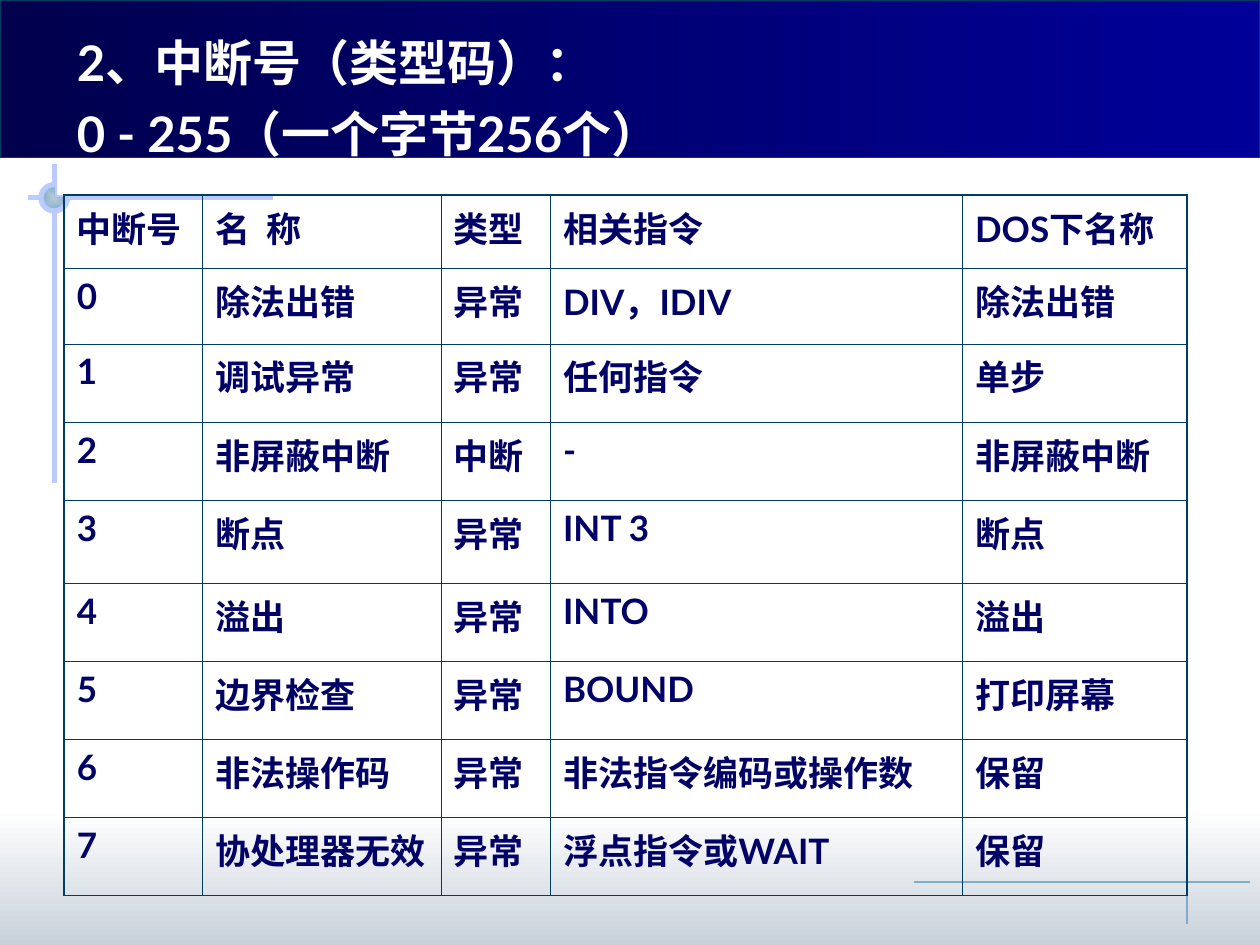
"""Build a slide that lists interrupt numbers in a ruled table."""
from lxml import etree
from pptx import Presentation
from pptx import util as u
from pptx.dml.color import RGBColor
from pptx.enum import shapes, text
from pptx.oxml import ns

COLS, ROWS = 100, 75
UNIT = u.Inches(0.1)
FONT = "Lato"
WHITE = RGBColor(0xFF, 0xFF, 0xFF)
MIST = RGBColor(0xC8, 0xD1, 0xDA)
MIDNIGHT = RGBColor(0x00, 0x00, 0x4C)
ROYAL = RGBColor(0x00, 0x00, 0x99)
NAVY = RGBColor(0x00, 0x00, 0x66)
TEAL = RGBColor(0x00, 0x3D, 0x62)
STEEL = RGBColor(0x81, 0xAB, 0xCB)
PALE = RGBColor(0xB6, 0xCB, 0xD6)
LAVENDER = RGBColor(0xBB, 0xCB, 0xFD)

TITLE = ["2、中断号（类型码）：", "0 - 255（一个字节256个）"]
COL_WIDTHS = [11, 18.9, 8.7, 32.7, 17.8]
ROW_HEIGHTS = [5.8, 6, 6.2, 6.2, 6.6, 6.2, 6.2, 6.2, 6.2]
INTERRUPTS = [
    ["中断号", "名  称", "类型", "相关指令", "DOS下名称"],
    ["0", "除法出错", "异常", "DIV，IDIV", "除法出错"],
    ["1", "调试异常", "异常", "任何指令", "单步"],
    ["2", "非屏蔽中断", "中断", "-", "非屏蔽中断"],
    ["3", "断点", "异常", "INT 3", "断点"],
    ["4", "溢出", "异常", "INTO", "溢出"],
    ["5", "边界检查", "异常", "BOUND", "打印屏幕"],
    ["6", "非法操作码", "异常", "非法指令编码或操作数", "保留"],
    ["7", "协处理器无效", "异常", "浮点指令或WAIT", "保留"],
]


def grid(*lengths):
    """Turn grid lengths into slide lengths."""
    return [u.Emu(round(n * UNIT)) for n in lengths]


def style_font(p, size, color):
    """Set the bold face of a paragraph."""
    p.font.name, p.font.size, p.font.bold = FONT, u.Pt(size), True
    p.font.color.rgb = color


def add_gradient_shape(s, kind, box, colors, angle=0, line=None):
    """Add a preset shape with a two-colour gradient and an optional outline."""
    sp = s.shapes.add_shape(kind, *grid(*box))
    sp.shadow.inherit = False
    sp.fill.gradient()
    sp.fill.gradient_angle = angle
    for stop, color, position in zip(sp.fill.gradient_stops, colors, (0, 1)):
        stop.color.rgb, stop.position = color, position
    if line:
        sp.line.color.rgb, sp.line.width = line[0], u.Pt(line[1])
    else:
        sp.line.fill.background()
    return sp


def add_rule(s, start, end, color, width):
    """Add a straight rule between two grid points."""
    cn = s.shapes.add_connector(shapes.MSO_CONNECTOR.STRAIGHT, *grid(*start, *end))
    cn.line.color.rgb, cn.line.width = color, u.Pt(width)
    etree.SubElement(cn.element.spPr, ns.qn("a:effectLst"))


def add_node(s, box):
    """Add the three-quarter disc with a gradient that spreads from its centre."""
    sp = add_gradient_shape(s, shapes.MSO_SHAPE.ARC, box, (PALE, STEEL), line=(LAVENDER, 3))
    sp.adjustments[0], sp.adjustments[1] = 0, 162
    lin = sp.element.spPr.find(".//" + ns.qn("a:lin"))
    spread = etree.Element(ns.qn("a:path"), path="rect")
    etree.SubElement(spread, ns.qn("a:fillToRect"), dict.fromkeys("ltrb", "50000"))
    lin.getparent().replace(lin, spread)


def add_cross(s, box):
    """Add the crossed rules and the disc where they meet."""
    x, y, w, h = box
    cx, cy, size = x + 2.1, y + 2.7, 2.1
    add_rule(s, (x + w, cy), (x, cy), LAVENDER, 3)
    add_rule(s, (cx, y), (cx, y + h), LAVENDER, 3)
    add_node(s, (cx - size / 2, cy - size / 2, size, size))


def add_backdrop(s, box):
    """Add the footer fade, the rules and the banner."""
    x, y, w, h = box
    rect = shapes.MSO_SHAPE.RECTANGLE
    add_gradient_shape(s, rect, (x, y + h - 10.8, w, 10.8), (WHITE, MIST), 270)
    add_rule(s, (x + 94.2, y + 51.7), (x + 94.2, y + 73.3), STEEL, 0.75)
    add_cross(s, (x + 2.2, y + 13, 19.5, 25.3))
    add_gradient_shape(s, rect, (x, y, w, h / 6), (MIDNIGHT, ROYAL), line=(TEAL, 0.75))
    add_rule(s, (x + 72.5, y + 70), (x + 99.2, y + 70), STEEL, 0.75)


def add_title(s, box):
    """Place the title in front of the banner."""
    sp = s.shapes.title
    sp.element.getparent().append(sp.element)
    sp.left, sp.top, sp.width, sp.height = grid(*box)
    tf = sp.text_frame
    tf.text = "\n".join(TITLE)
    tf.word_wrap, tf.auto_size = True, text.MSO_AUTO_SIZE.NONE
    tf.vertical_anchor = text.MSO_ANCHOR.TOP
    for i, p in enumerate(tf.paragraphs):
        p.alignment = text.PP_ALIGN.LEFT
        p.space_before = u.Pt(7 if i else 0)
        style_font(p, 28, WHITE)


def set_borders(cell, outer):
    """Rule the four sides of a cell, heavier on the table's outer sides."""
    tc_pr = cell._tc.get_or_add_tcPr()
    for side in "LRTB":
        width = u.Pt(1.08 if outer[side] else 0.45)
        ln = etree.SubElement(tc_pr, ns.qn("a:ln" + side), w=str(width))
        fill = etree.SubElement(ln, ns.qn("a:solidFill"))
        etree.SubElement(fill, ns.qn("a:srgbClr"), val=str(TEAL))


def add_interrupt_table(s, box):
    """Add the table, sharing its box among columns and rows by weight."""
    n_rows, n_cols = len(INTERRUPTS), len(COL_WIDTHS)
    table = s.shapes.add_table(n_rows, n_cols, *grid(*box)).table
    table.first_row = table.horz_banding = False
    for col, weight in zip(table.columns, COL_WIDTHS):
        col.width, = grid(box[2] * weight / sum(COL_WIDTHS))
    for row, weight in zip(table.rows, ROW_HEIGHTS):
        row.height, = grid(box[3] * weight / sum(ROW_HEIGHTS))
    for i, values in enumerate(INTERRUPTS):
        for j, value in enumerate(values):
            cell = table.cell(i, j)
            cell.text = value
            style_font(cell.text_frame.paragraphs[0], 20, NAVY)
            set_borders(cell, {"L": j == 0, "R": j == n_cols - 1,
                               "T": i == 0, "B": i == n_rows - 1})
            cell.fill.background()


def main():
    """Build and save the slide."""
    prs = Presentation()
    prs.slide_width, prs.slide_height = grid(COLS, ROWS)
    s = prs.slides.add_slide(prs.slide_layouts.get_by_name("Title Only"))
    add_backdrop(s, (0, 0, COLS, ROWS))
    add_title(s, (5.1, 2.1, 91.5, 68.5))
    add_interrupt_table(s, (5.1, 15.5, 89.1, 55.6))
    prs.save("out.pptx")


if __name__ == "__main__":
    main()
